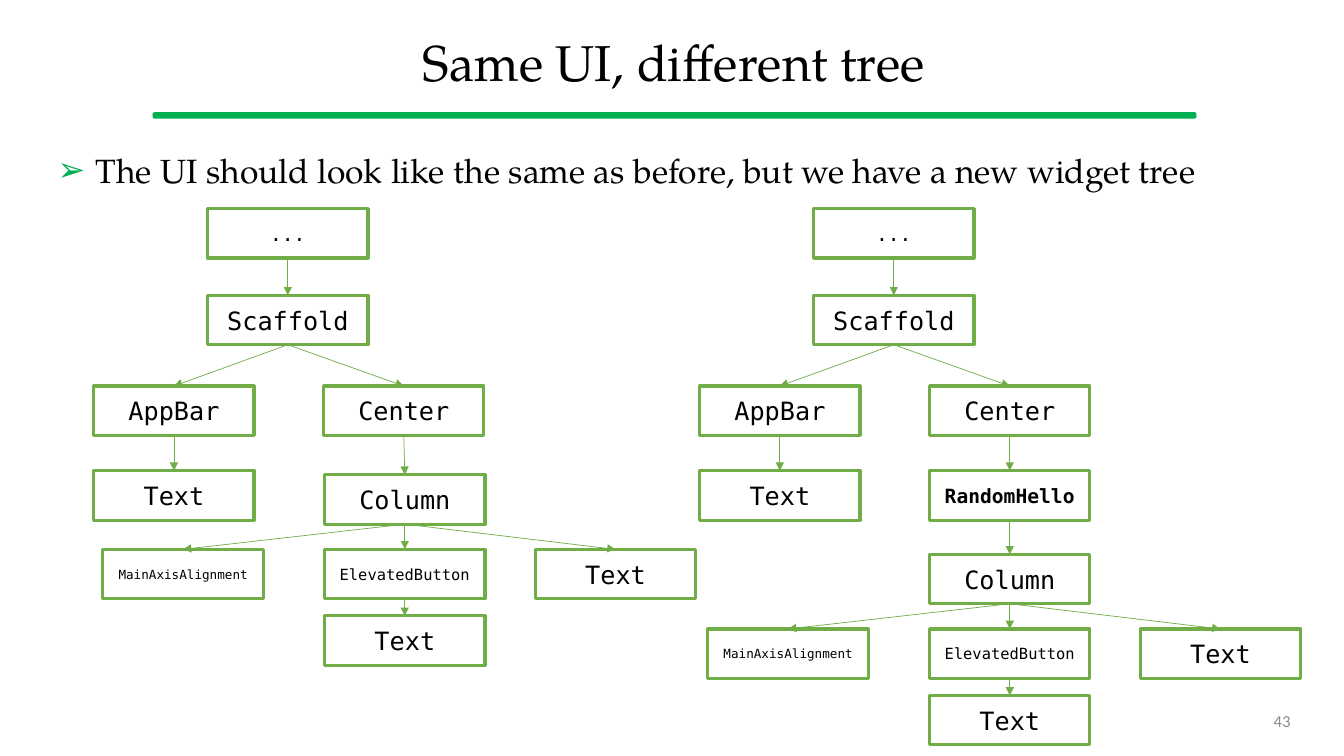
from lxml import etree
from pptx import Presentation
from pptx.dml.color import RGBColor
from pptx.enum import shapes, text
from pptx.oxml import ns
from pptx.util import Inches, Pt

BLACK = RGBColor(0x00, 0x00, 0x00)
WHITE = RGBColor(0xFF, 0xFF, 0xFF)
GREY = RGBColor(0x8C, 0x8C, 0x8C)
RULE_GREEN = RGBColor(0x00, 0xB0, 0x50)
TREE_GREEN = RGBColor(0x70, 0xAD, 0x47)
SERIF, MONO, SANS = "TeX Gyre Pagella", "DejaVu Sans Mono", "Calibri"
NODE_W, NODE_H = 1.59, 0.49


def place(sp, left, top, width, height):
    sp.left, sp.top = Inches(left), Inches(top)
    sp.width, sp.height = Inches(width), Inches(height)


def add_run(p, words, size, font, color=BLACK, bold=False):
    r = p.add_run()
    r.text = words
    r.font.size, r.font.name, r.font.bold = Pt(size), font, bold
    r.font.color.rgb = color


def add_heading(s, left, top, width, height):
    # Rule under the title
    rule = s.shapes.add_shape(
        shapes.MSO_SHAPE.ROUNDED_RECTANGLE, Inches(left + 1.05),
        Inches(top + height), Inches(10.34), Inches(0.05))
    rule.adjustments[0] = 0.26
    rule.shadow.inherit = False
    rule.fill.solid()
    rule.fill.fore_color.rgb = RULE_GREEN
    rule.line.color.rgb = RULE_GREEN
    rule.line.width = Pt(1)

    # Title
    title = s.shapes.title
    place(title, left, top, width, height)
    tf = title.text_frame
    tf.vertical_anchor = text.MSO_ANCHOR.MIDDLE
    p = tf.paragraphs[0]
    p.alignment = text.PP_ALIGN.CENTER
    p.line_spacing = 0.9
    add_run(p, "Same UI, different tree", 36, SERIF)


def add_body(s, left, top, width, height):
    body = s.placeholders[1]
    place(body, left, top, width, height)
    tf = body.text_frame
    tf.vertical_anchor = text.MSO_ANCHOR.TOP
    p = tf.paragraphs[0]
    pPr = p._p.get_or_add_pPr()
    pPr.set("marL", str(Inches(0.38)))
    pPr.set("indent", str(Inches(-0.38)))
    clr = etree.SubElement(pPr, ns.qn("a:buClr"))
    etree.SubElement(clr, ns.qn("a:srgbClr")).set("val", str(RULE_GREEN))
    etree.SubElement(pPr, ns.qn("a:buChar")).set("char", "➢")
    p.line_spacing = 0.9
    p.space_before = Pt(0)
    add_run(p, "The UI should look like the same as before, "
               "but we have a new widget tree", 24, SERIF)


def add_node(s, left, top, label, parent=None, size=18, bold=False):
    """Add a widget box and the arrow from its parent."""
    sp = s.shapes.add_shape(shapes.MSO_SHAPE.RECTANGLE, Inches(left),
                            Inches(top), Inches(NODE_W), Inches(NODE_H))
    sp.shadow.inherit = False
    sp.fill.solid()
    sp.fill.fore_color.rgb = WHITE
    sp.line.color.rgb = TREE_GREEN
    sp.line.width = Pt(2.25)
    tf = sp.text_frame
    tf.word_wrap = True
    tf.vertical_anchor = text.MSO_ANCHOR.MIDDLE
    p = tf.paragraphs[0]
    p.alignment = text.PP_ALIGN.CENTER
    add_run(p, label, size, MONO, bold=bold)
    if parent is not None:
        add_arrow(s, parent, sp)
    return sp


def add_arrow(s, parent, child):
    cxn = s.shapes.add_connector(shapes.MSO_CONNECTOR.STRAIGHT, 0, 0, 0, 0)
    cxn.begin_connect(parent, 2)  # bottom centre
    cxn.end_connect(child, 0)  # top centre
    cxn.line.color.rgb = TREE_GREEN
    cxn.line.width = Pt(0.5)
    ln = cxn.line._get_or_add_ln()
    etree.SubElement(ln, ns.qn("a:tailEnd")).set("type", "triangle")
    etree.SubElement(cxn._element.spPr, ns.qn("a:effectLst"))


def add_column(s, left, top, parent):
    """Column widget with its three children."""
    column = add_node(s, left, top, "Column", parent)
    row = top + 0.74
    add_node(s, left - 2.2, row, "MainAxisAlignment", column, 9)
    button = add_node(s, left, row, "ElevatedButton", column, 11)
    add_node(s, left + 2.09, row, "Text", column)
    add_node(s, left, top + 1.4, "Text", button)


def add_tree(s, left, top, extracted):
    """Widget tree, with or without the extracted RandomHello widget."""
    middle, right = left + 1.13, left + 2.28
    root = add_node(s, middle, top, "...", size=14)
    scaffold = add_node(s, middle, top + 0.86, "Scaffold", root)
    app_bar = add_node(s, left, top + 1.76, "AppBar", scaffold)
    center = add_node(s, right, top + 1.76, "Center", scaffold)
    add_node(s, left, top + 2.6, "Text", app_bar)
    if extracted:
        hello = add_node(s, right, top + 2.6, "RandomHello", center, 14, True)
        add_column(s, right, top + 3.43, hello)
    else:
        add_column(s, right + 0.01, top + 2.64, center)


def add_page_number(s, left, top, width, height):
    tb = s.shapes.add_textbox(Inches(left), Inches(top),
                              Inches(width), Inches(height))
    tf = tb.text_frame
    tf.word_wrap = True
    tf.vertical_anchor = text.MSO_ANCHOR.MIDDLE
    p = tf.paragraphs[0]
    p.alignment = text.PP_ALIGN.RIGHT
    add_run(p, "43", 12, SANS, GREY)


def main():
    prs = Presentation()
    prs.slide_width, prs.slide_height = Inches(13.33), Inches(7.5)
    s = prs.slides.add_slide(prs.slide_layouts[1])
    add_heading(s, 0.47, 0.18, 12.43, 0.94)
    add_body(s, 0.47, 1.48, 12.59, 0.52)
    add_tree(s, 0.93, 2.07, extracted=False)
    add_tree(s, 6.94, 2.07, extracted=True)
    add_page_number(s, 9.42, 6.95, 3.48, 0.4)
    prs.save("out.pptx")


if __name__ == "__main__":
    main()
